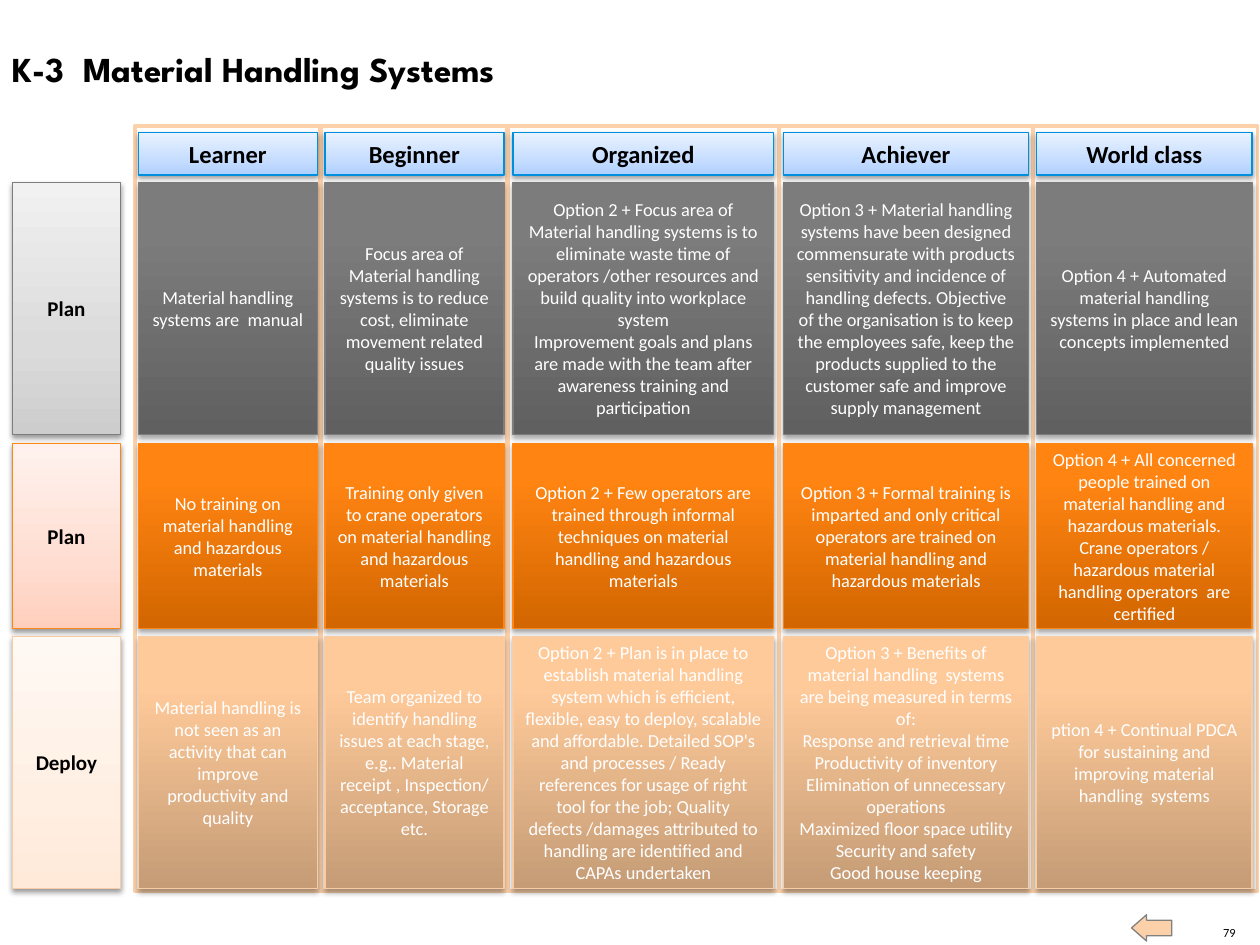
from copy import deepcopy

from lxml import etree
from pptx import Presentation
from pptx.dml.color import RGBColor
from pptx.enum.shapes import MSO_SHAPE
from pptx.enum.text import MSO_ANCHOR, MSO_AUTO_SIZE, PP_ALIGN
from pptx.oxml.ns import qn
from pptx.util import Cm, Pt

RECT, ARROW = MSO_SHAPE.RECTANGLE, MSO_SHAPE.RIGHT_ARROW
MIDDLE, BOTTOM = MSO_ANCHOR.MIDDLE, MSO_ANCHOR.BOTTOM
LEFT, CENTER, RIGHT = PP_ALIGN.LEFT, PP_ALIGN.CENTER, PP_ALIGN.RIGHT
FIT = MSO_AUTO_SIZE.SHAPE_TO_FIT_TEXT

# Gradients run from bottom to top as (position, colour) stops
THEME = {
    "font": "Calibri", "head font": "League Spartan",
    "title": 20, "head": 14, "label": 12, "body": 10.5, "page": 7.1,
    "black": "000000", "white": "FFFFFF", "frame": "FCD1AA", "edge": "808080",
    "blue": ("008FDC", [(0, "AECFFF"), (0.35, "C6DDFF"), (1, "E9F2FF")]),
    "pale grey": ("7D7D7D", [(0, "CDCDCD"), (0.35, "DBDBDB"), (1, "F1F1F1")]),
    "pale orange": ("FF8615", [(0, "FFCFBD"), (0.35, "FFDDD1"), (1, "FFF2EE")]),
    "pale peach": ("F8CCA4", [(0, "FFE9D8"), (0.35, "FFEFE3"), (1, "FFF9F4")]),
    "grey": ("7D7D7D", [(0, "606060"), (0.8, "7C7C7C"), (1, "7D7D7D")]),
    "orange": ("FF8615", [(0, "D26600"), (0.8, "FF8412"), (1, "FF8514")]),
    "peach": ("F8CCA4", [(0, "C59C76"), (0.8, "FFCA9A"), (1, "FFCB9C")]),
}

# Columns: name, left, width, frame left, frame width (cm)
COLS = [
    ("Learner", 2.79, 3.61, 2.72, 3.73),
    ("Beginner", 6.55, 3.61, 6.48, 3.73),
    ("Organized", 10.34, 5.26, 10.24, 5.46),
    ("Achiever", 15.8, 4.93, 15.7, 5.13),
    ("World class", 20.9, 4.34, 20.83, 4.52),
]

# Rows: name, colour, top, height (cm), one text per column
ROWS = [
    ("Plan", "grey", 3.68, 5.08, [
        "Material handling systems are  manual",
        "Focus area of Material handling systems is to reduce cost, eliminate "
        "movement related quality issues",
        "Option 2 + Focus area of Material handling systems is to eliminate "
        "waste time of operators /other resources and build quality into "
        "workplace system\nImprovement goals and plans are made with the team "
        "after awareness training and participation",
        "Option 3 + Material handling systems have been designed commensurate "
        "with products sensitivity and incidence of handling defects. "
        "Objective of the organisation is to keep the employees safe, keep "
        "the products supplied to the customer safe and improve supply "
        "management",
        "Option 4 + Automated material handling systems in place and lean "
        "concepts implemented",
    ]),
    ("Plan", "orange", 8.94, 3.73, [
        "No training on material handling and hazardous materials",
        "Training only given to crane operators on material handling and "
        "hazardous materials",
        "Option 2 + Few operators are trained through informal techniques on "
        "material handling and hazardous materials",
        "Option 3 + Formal training is imparted and only critical operators "
        "are trained on material handling and hazardous materials",
        "Option 4 + All concerned people trained on material handling and "
        "hazardous materials. Crane operators / hazardous material handling "
        "operators  are certified",
    ]),
    ("Deploy", "peach", 12.83, 5.08, [
        "Material handling is not seen as an activity that can improve "
        "productivity and quality",
        "Team organized to identify handling issues at each stage, e.g.. "
        "Material receipt , Inspection/ acceptance, Storage etc.",
        "Option 2 + Plan is in place to establish material handling system "
        "which is efficient, flexible, easy to deploy, scalable and "
        "affordable. Detailed SOP's and processes / Ready references for "
        "usage of right tool for the job; Quality defects /damages attributed "
        "to handling are identified and CAPAs undertaken",
        "Option 3 + Benefits of material handling  systems are being measured "
        "in terms of:\nResponse and retrieval time\nProductivity of inventory\n"
        "Elimination of unnecessary operations\nMaximized floor space utility\n"
        "Security and safety\nGood house keeping",
        "ption 4 + Continual PDCA for sustaining and improving material "
        "handling  systems",
    ]),
]

deck = Presentation()
deck.slide_width, deck.slide_height = Cm(25.4), Cm(19.05)
shapes = deck.slides.add_slide(deck.slide_layouts[6]).shapes


def write(frame, text, size, color="black", bold=False, align=CENTER,
          font="font"):
    frame.text = text
    for par in frame.paragraphs:
        par.alignment = align
        for run in par.runs:
            run.font.name = THEME[font]
            run.font.size = Pt(THEME[size])
            run.font.bold = bold
            run.font.color.rgb = RGBColor.from_string(THEME[color])


def add_tile(box, tone, alpha, dist):
    tile = shapes.add_shape(RECT, *map(Cm, box))
    edge, stops = THEME[tone]
    tile.line.color.rgb = RGBColor.from_string(edge)
    tile.line.width = Pt(0.75)
    # Three-stop gradient
    tile.fill.gradient()
    tile.fill.gradient_angle = 90
    last = tile.fill.gradient_stops[1]._gs
    last.addnext(deepcopy(last))
    for stop, (pos, color) in zip(tile.fill.gradient_stops, stops):
        stop.position = pos
        stop.color.rgb = RGBColor.from_string(color)
    # Soft shadow below
    tile.shadow.inherit = False
    effects = tile._element.spPr.find(qn("a:effectLst"))
    shade = etree.SubElement(effects, qn("a:outerShdw"), blurRad=str(Pt(3.1)),
                             dist=str(Pt(dist)), dir="5400000",
                             rotWithShape="0")
    tint = etree.SubElement(shade, qn("a:srgbClr"), val=THEME["black"])
    etree.SubElement(tint, qn("a:alpha"), val=str(alpha * 1000))
    frame = tile.text_frame
    frame.word_wrap = True
    frame.vertical_anchor = MIDDLE
    return frame


# Page number
page = shapes.add_textbox(Cm(24.61), Cm(18.64), Cm(0.3), Cm(0.3)).text_frame
page.margin_left = page.margin_right = page.margin_top = page.margin_bottom = 0
page.word_wrap = False
page.auto_size = FIT
page.vertical_anchor = BOTTOM
write(page, "79", "page", align=RIGHT)

# Back arrow
arrow = shapes.add_shape(ARROW, Cm(22.81), Cm(18.44), Cm(0.81), Cm(0.53))
arrow.rotation = 180
arrow.adjustments[0], arrow.adjustments[1] = 0.59, 0.57
arrow.shadow.inherit = False
arrow.fill.solid()
arrow.fill.fore_color.rgb = RGBColor.from_string(THEME["frame"])
arrow.line.color.rgb = RGBColor.from_string(THEME["edge"])
arrow.line.width = Pt(0.75)

# Title
title = shapes.add_textbox(0, Cm(0.84), Cm(21.84), Cm(1.12)).text_frame
title.word_wrap = True
title.auto_size = FIT
write(title, "K-3  Material Handling Systems", "title", bold=True, align=LEFT,
      font="head font")

# Row labels
for name, tone, top, high, _ in ROWS:
    label = add_tile((0.25, top, 2.18, high), "pale " + tone, 38, 1.6)
    write(label, name, "label", bold=True)

# Column frames
for *_, left, wide in COLS:
    frame = shapes.add_shape(RECT, Cm(left), Cm(2.54), Cm(wide), Cm(15.42))
    frame.shadow.inherit = False
    frame.fill.solid()
    frame.fill.fore_color.rgb = RGBColor.from_string(THEME["white"])
    frame.line.color.rgb = RGBColor.from_string(THEME["frame"])
    frame.line.width = Pt(2)

# Body cells
for _, tone, top, high, texts in ROWS:
    for (_, left, wide, *_), text in zip(COLS, texts):
        cell = add_tile((left, top, wide, high), tone, 35, 1.8)
        write(cell, text, "body", "white")

# Column heads
for name, left, wide, *_ in COLS:
    head = add_tile((left, 2.67, wide, 0.86), "blue", 38, 1.6)
    write(head, name, "head", bold=True)

deck.save("out.pptx")
